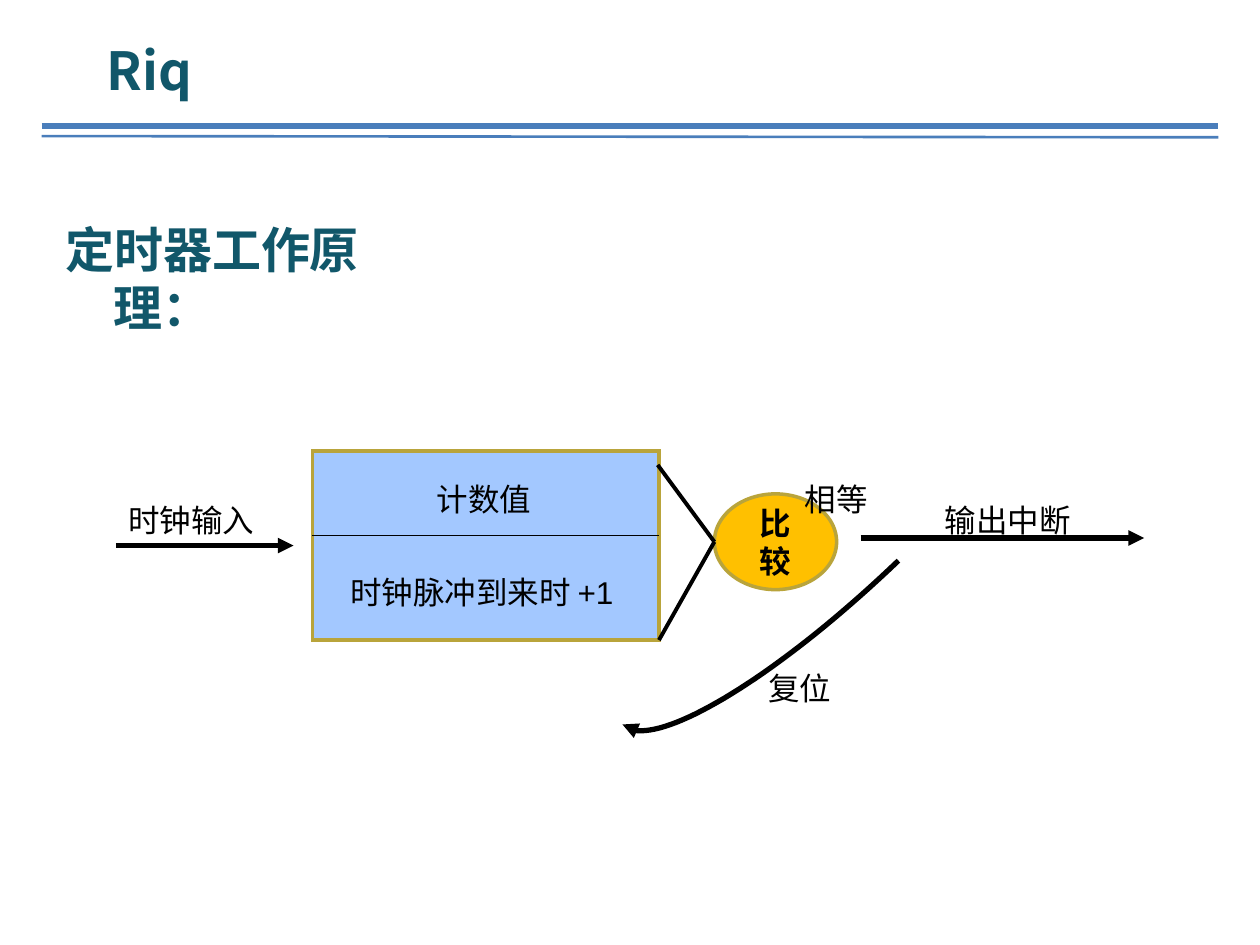
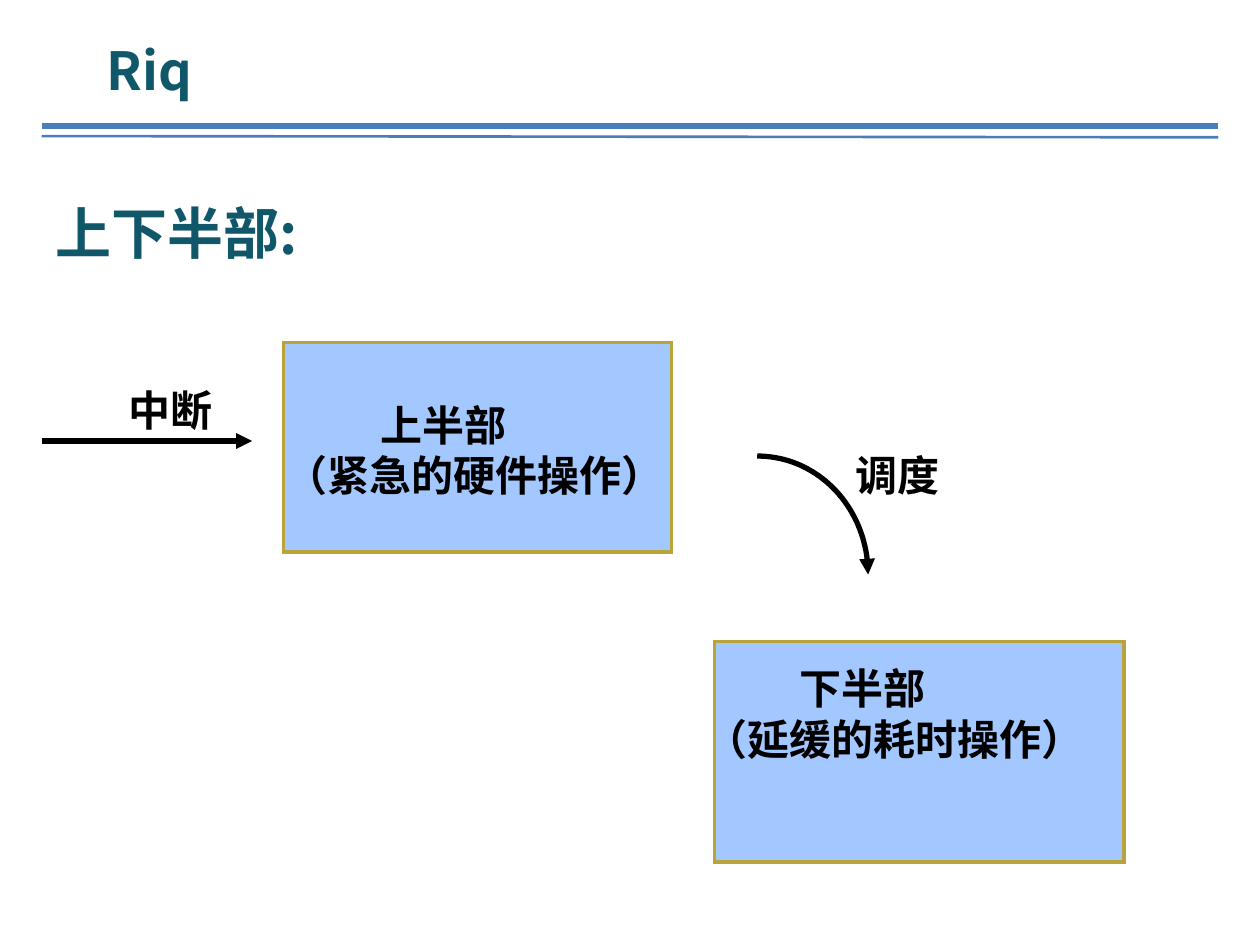
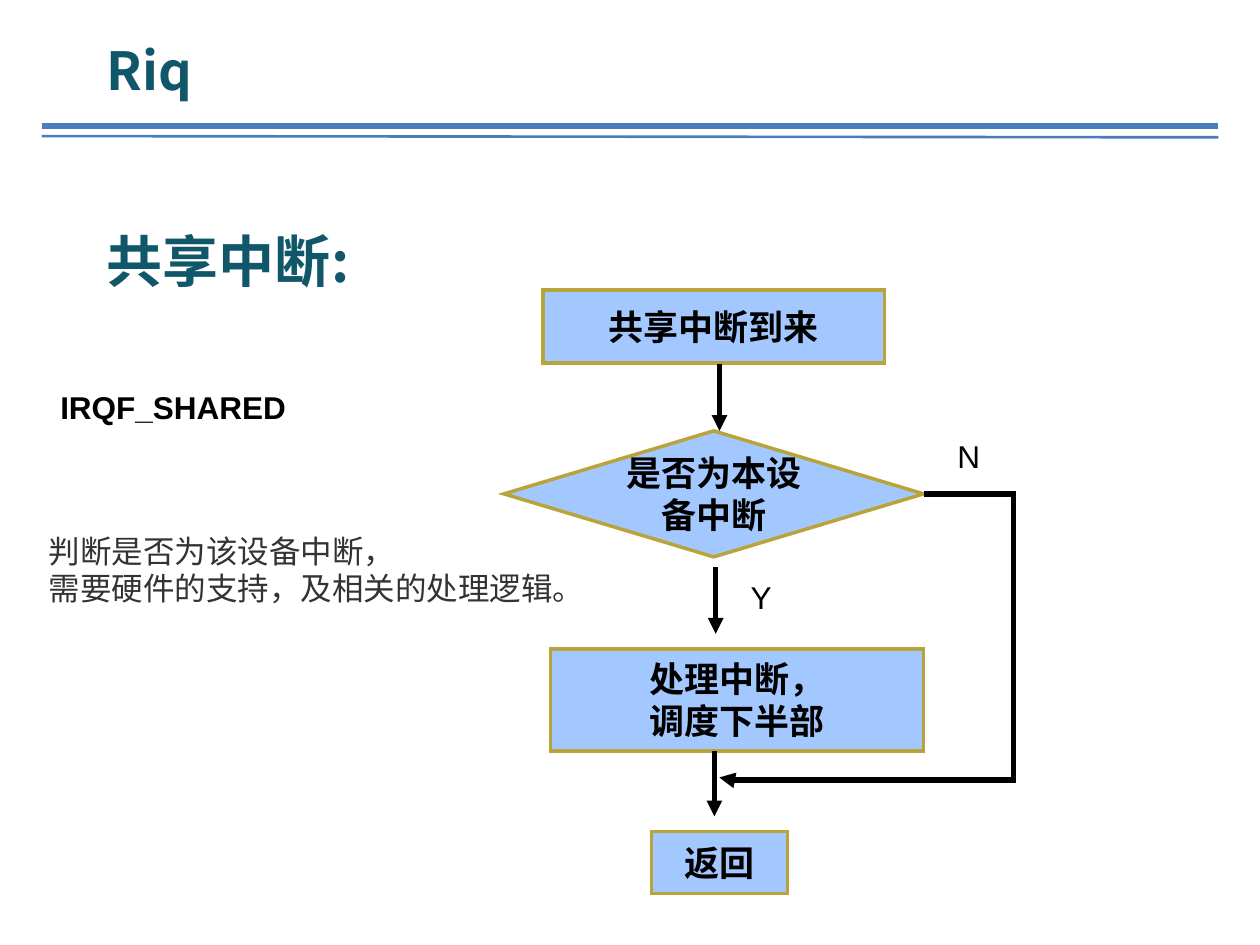
from lxml import etree
from pptx import Presentation
from pptx.dml.color import RGBColor
from pptx.enum.shapes import MSO_CONNECTOR, MSO_SHAPE
from pptx.enum.text import MSO_ANCHOR, MSO_AUTO_SIZE, PP_ALIGN
from pptx.oxml.ns import qn
from pptx.util import Inches, Pt

STRAIGHT, ELBOW = MSO_CONNECTOR.STRAIGHT, MSO_CONNECTOR.ELBOW
RECT, OVAL, DIAMOND = MSO_SHAPE.RECTANGLE, MSO_SHAPE.OVAL, MSO_SHAPE.DIAMOND
CENTER, MIDDLE = PP_ALIGN.CENTER, MSO_ANCHOR.MIDDLE
GROW = MSO_AUTO_SIZE.SHAPE_TO_FIT_TEXT

TEAL = RGBColor(0x11, 0x57, 0x6A)
RULE_BLUE = RGBColor(0x4A, 0x7E, 0xBB)
SKY = RGBColor(0xA3, 0xC8, 0xFF)
AMBER = RGBColor(0xFF, 0xC0, 0x00)
GOLD = RGBColor(0xB9, 0xA4, 0x3B)
BLACK = RGBColor(0, 0, 0)
GRAY = RGBColor(0x33, 0x33, 0x33)

BODY, SERIF = "Arial", "Times New Roman"
SANS_SC, SANS_JP = "Noto Sans CJK SC", "Noto Sans CJK JP"
LEADING = 1.2
CURVE_STEPS = 40

LABEL = dict(size=18, font=BODY)
BOLD_LABEL = dict(size=18, font=BODY, bold=True)
BIG_LABEL = dict(size=24, font=BODY, bold=True)
NOTE = dict(size=18, font=SANS_SC, color=GRAY)
NODE = dict(size=20, font=SERIF, bold=True)
SMALL_NODE = dict(size=18, font=SERIF, bold=True)
TITLE = dict(size=30, font=SANS_SC, color=TEAL, bold=True)
HEADING = dict(size=32, font=SANS_JP, color=TEAL, bold=True)
SMALL_HEADING = dict(size=28, font=SANS_JP, color=TEAL, bold=True)

SLIDES = [
    dict(
        heading=("定时器工作原理：", (0.42, 1.19, 3.25, 1.07), SMALL_HEADING),
        heading_margins=dict(top=0.55, right=0.6),
        nodes=[
            (RECT, (2.48, 3.58, 2.75, 1.5), SKY, [], NODE),
            (OVAL, (5.67, 3.92, 0.97, 0.76), AMBER, ["比较"], SMALL_NODE),
        ],
        lines=[
            ((5.22, 3.69), (5.67, 4.3), 2.25),
            ((5.23, 5.08), (5.67, 4.3), 2.25),
            ((2.48, 4.25), (5.23, 4.25), 0.75),
        ],
        arrows=[((0.92, 4.33), (2.33, 4.33)), ((6.83, 4.27), (9.08, 4.27))],
        curve=[(7.13, 4.45), (6.14, 5.4), (5.16, 5.98), (4.94, 5.75)],
        labels=[
            (["时钟输入"], (0.92, 3.93, 1.22, 0.4), LABEL),
            (["计数值"], (3.37, 3.76, 0.97, 0.4), LABEL),
            (["相等"], (6.29, 3.76, 0.72, 0.4), LABEL),
            (["输出中断"], (7.4, 3.93, 1.22, 0.4), LABEL),
            (["复位"], (6, 5.26, 0.72, 0.4), LABEL),
            (["时钟脉冲到来时 +1"], (2.68, 4.5, 2.37, 0.4), LABEL),
        ],
    ),
    dict(
        heading=("上下半部:", (0.34, 1.53, 9.33, 1.28), HEADING),
        nodes=[
            (RECT, (2.25, 2.72, 3.08, 1.66), SKY, [], NODE),
            (RECT, (5.67, 5.09, 3.25, 1.75), SKY, [], NODE),
        ],
        arrows=[((0.33, 3.5), (2, 3.5))],
        curve=[(6.01, 3.62), (6.5, 3.62), (6.89, 4.04), (6.89, 4.56)],
        halves=[
            (["上半部", "（紧急的硬件操作）"], (2.17, 3.12, 3.25, 0.9)),
            (["下半部", "（延缓的耗时操作）"], (5.5, 5.21, 3.25, 0.9)),
        ],
        labels=[
            (["调度"], (6.69, 3.52, 0.9, 0.5), BIG_LABEL),
            (["中断"], (0.92, 3, 0.9, 0.5), BIG_LABEL),
        ],
    ),
    dict(
        heading=("共享中断:", (0.75, 1.75, 9.33, 1.28), HEADING),
        nodes=[
            (RECT, (4.31, 2.3, 2.71, 0.58), SKY, ["共享中断到来"], NODE),
            (DIAMOND, (4, 3.42, 3.33, 1), SKY, ["是否为本设备中断"], NODE),
            (RECT, (4.37, 5.15, 2.96, 0.81), SKY, ["处理中断，", "调度下半部"], NODE),
            (RECT, (5.17, 6.6, 1.08, 0.49), SKY, ["返回"], NODE),
        ],
        arrows=[
            ((5.71, 2.89), (5.71, 3.42)),
            ((5.68, 4.5), (5.68, 5.03)),
            ((5.67, 5.96), (5.67, 6.48)),
        ],
        bypass=((7.33, 3.92), (5.71, 6.17)),
        labels=[
            (["N"], (7.5, 3.42, 0.38, 0.4), LABEL),
            (["Y"], (5.86, 4.54, 0.36, 0.4), LABEL),
            (["IRQF_SHARED"], (0.38, 3.03, 1.99, 0.4), BOLD_LABEL),
            (["判断是否为该设备中断，", "需要硬件的支持，及相关的处理逻辑。"],
             (0.29, 4.17, 4.47, 0.7), NOTE),
        ],
    ),
]


def inches(values):
    return [Inches(value) for value in values]


def write(frame, texts, size, font, color=BLACK, bold=False, align=None):
    for index, text in enumerate(texts):
        para = frame.paragraphs[0] if index == 0 else frame.add_paragraph()
        para.alignment = align
        para.line_spacing = Pt(size * LEADING)
        span = para.add_run()
        span.text = text
        span.font.size = Pt(size)
        span.font.name = font
        span.font.bold = bold
        span.font.color.rgb = color
        if font in (SANS_SC, SANS_JP):
            latin = span.font._element.find(qn("a:latin"))
            latin.addnext(etree.Element(qn("a:ea"), typeface=font))


def add_text(page, texts, at, style, wrap=False, top=0.05, right=0.1):
    box = page.shapes.add_textbox(*inches(at))
    frame = box.text_frame
    frame.word_wrap = wrap
    frame.auto_size = GROW
    frame.margin_top = Inches(top)
    frame.margin_right = Inches(right)
    write(frame, texts, **style)
    return frame


def indent(para, left, first=0):
    props = para._p.get_or_add_pPr()
    props.set("marL", str(Inches(left)))
    props.set("indent", str(Inches(first)))


def style_line(line, color, width, head=False):
    line.color.rgb = color
    line.width = Pt(width)
    outline = line._get_or_add_ln()
    etree.SubElement(outline, qn("a:miter"), lim="800000")
    if head:
        etree.SubElement(outline, qn("a:tailEnd"), type="triangle")


def add_node(page, kind, at, fill, texts, style):
    node = page.shapes.add_shape(kind, *inches(at))
    node.shadow.inherit = False
    node.fill.solid()
    node.fill.fore_color.rgb = fill
    style_line(node.line, GOLD, 2)
    node.text_frame.word_wrap = True
    node.text_frame.vertical_anchor = MIDDLE
    write(node.text_frame, texts, align=CENTER, **style)


def add_line(page, start, end, width, color=BLACK, head=False, kind=STRAIGHT):
    link = page.shapes.add_connector(kind, *inches(start + end))
    style_line(link.line, color, width, head)
    etree.SubElement(link._element.spPr, qn("a:effectLst"))
    return link


def add_bypass(page, start, end):
    link = add_line(page, start, end, 3, head=True, kind=ELBOW)
    geometry = link._element.spPr.find(qn("a:prstGeom"))
    geometry.set("prst", "bentConnector4")
    guides = geometry.find(qn("a:avLst"))
    for name, value in (("adj1", -44000), ("adj2", 100900)):
        etree.SubElement(guides, qn("a:gd"), name=name, fmla=f"val {value}")


def curve_point(controls, t):
    weights = ((1 - t) ** 3, 3 * t * (1 - t) ** 2, 3 * t ** 2 * (1 - t), t ** 3)
    return tuple(
        Inches(sum(w * point[axis] for w, point in zip(weights, controls)))
        for axis in (0, 1)
    )


def add_curve(page, controls):
    points = [curve_point(controls, i / CURVE_STEPS) for i in range(CURVE_STEPS + 1)]
    builder = page.shapes.build_freeform(*points[0])
    builder.add_line_segments(points[1:], close=False)
    curve = builder.convert_to_shape()
    curve.shadow.inherit = False
    curve.fill.background()
    style_line(curve.line, BLACK, 3, head=True)


def add_header(page):
    add_text(page, ["Riq"], (0.75, 0.25, 4.06, 0.6), TITLE, wrap=True)
    add_line(page, (0.33, 1), (9.67, 1), 3.5, RULE_BLUE)
    add_line(page, (0.33, 1.08), (9.67, 1.09), 1.5, RULE_BLUE)


def build_slide(page, content):
    add_header(page)
    text, at, style = content["heading"]
    margins = content.get("heading_margins", {})
    heading = add_text(page, [text], at, style, wrap=True, **margins)
    indent(heading.paragraphs[0], 0.38, -0.38)
    for node in content["nodes"]:
        add_node(page, *node)
    for start, end, width in content.get("lines", []):
        add_line(page, start, end, width)
    for start, end in content["arrows"]:
        add_line(page, start, end, 3, head=True)
    if "curve" in content:
        add_curve(page, content["curve"])
    if "bypass" in content:
        add_bypass(page, *content["bypass"])
    for texts, at in content.get("halves", []):
        frame = add_text(page, texts, at, BIG_LABEL, wrap=True)
        indent(frame.paragraphs[0], 0.75)
    for label in content["labels"]:
        add_text(page, *label)


def main():
    deck = Presentation()
    deck.slide_width, deck.slide_height = Inches(10), Inches(7.5)
    for content in SLIDES:
        build_slide(deck.slides.add_slide(deck.slide_layouts[6]), content)
    deck.save("out.pptx")


if __name__ == "__main__":
    main()
